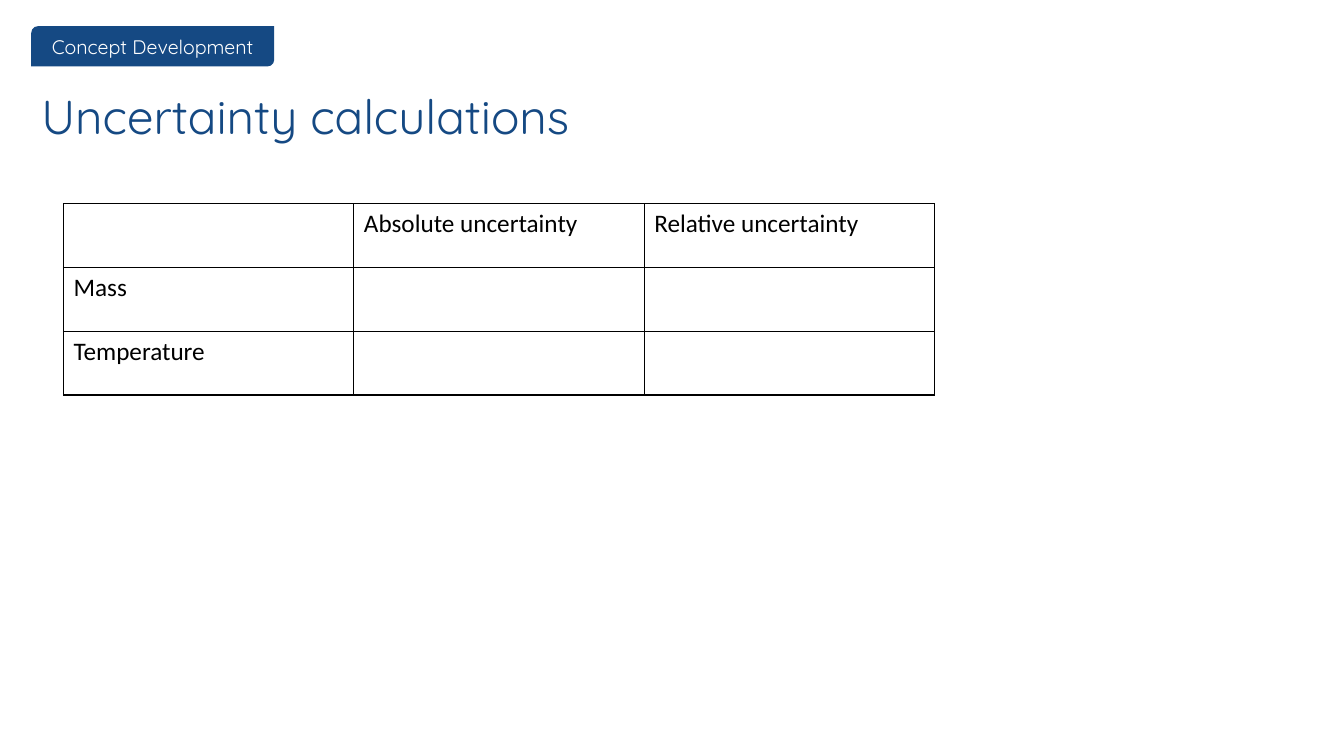
from lxml.etree import SubElement
from pptx import Presentation
from pptx.dml.color import RGBColor
from pptx.enum.shapes import MSO_SHAPE
from pptx.enum.text import MSO_ANCHOR, MSO_AUTO_SIZE, PP_ALIGN
from pptx.oxml.ns import qn
from pptx.util import Inches, Pt

BLUE, WHITE, BLACK = "154983", "FFFFFF", "000000"
ROWS = [
    ["", "Absolute uncertainty", "Relative uncertainty"],
    ["Mass", "", ""],
    ["Temperature", "", ""],
]


def rgb(value):
    """Turn a hex string into a colour."""
    return RGBColor.from_string(value)


def style(p, color, **formats):
    """Apply font values and a colour to a paragraph."""
    for key, value in formats.items():
        setattr(p.font, key, value)
    p.font.color.rgb = rgb(color)


def add_tag(s, text, box):
    """Draw the section tag with two rounded corners."""
    sp = s.shapes.add_shape(MSO_SHAPE.ROUND_2_DIAG_RECTANGLE, *map(Inches, box))
    sp.shadow.inherit = False
    sp.fill.solid()
    sp.fill.fore_color.rgb = rgb(BLUE)
    sp.line.fill.background()
    tf = sp.text_frame
    tf.text = text
    tf.vertical_anchor = MSO_ANCHOR.MIDDLE
    p = tf.paragraphs[0]
    p.alignment = PP_ALIGN.CENTER
    style(p, WHITE, name="Quicksand", size=Pt(14))


def set_title(s, text, box):
    """Place and format the title placeholder."""
    sp = s.shapes.title
    for key, value in zip(("left", "top", "width", "height"), box):
        setattr(sp, key, Inches(value))
    tf = sp.text_frame
    tf.text = text
    for key, value in {"word_wrap": True, "auto_size": MSO_AUTO_SIZE.NONE,
                       "vertical_anchor": MSO_ANCHOR.TOP}.items():
        setattr(tf, key, value)
    p = tf.paragraphs[0]
    p.alignment = PP_ALIGN.LEFT
    p.line_spacing = 0.9
    style(p, BLUE, name="Quicksand", size=Pt(34))


def add_borders(cell, color, width):
    """Draw a solid line on all four sides of a cell."""
    tc_pr = cell._tc.get_or_add_tcPr()
    for i, side in enumerate("LRTB"):
        ln = SubElement(tc_pr, qn(f"a:ln{side}"), w=str(Pt(width)))
        fill = SubElement(ln, qn("a:solidFill"))
        SubElement(fill, qn("a:srgbClr"), val=color)
        tc_pr.insert(i, ln)


def add_grid(s, rows, box):
    """Add the bordered table with equal columns and rows."""
    table = s.shapes.add_table(len(rows), len(rows[0]), *map(Inches, box)).table
    table.first_row = table.horz_banding = False
    for r, row in enumerate(rows):
        for c, text in enumerate(row):
            cell = table.cell(r, c)
            cell.text = text
            cell.fill.background()
            style(cell.text_frame.paragraphs[0], BLACK, name="Calibri", size=Pt(18))
            add_borders(cell, BLACK, 1)


def main():
    """Build the slide and save it."""
    prs = Presentation()
    prs.slide_width, prs.slide_height = Inches(13.33), Inches(7.5)
    s = prs.slides.add_slide(prs.slide_layouts[5])
    add_tag(s, "Concept Development", (0.31, 0.26, 2.41, 0.4))
    set_title(s, "Uncertainty calculations", (0.31, 0.88, 12.56, 0.57))
    add_grid(s, ROWS, (0.63, 2.02, 8.64, 1.9))
    prs.save("out.pptx")


if __name__ == "__main__":
    main()
